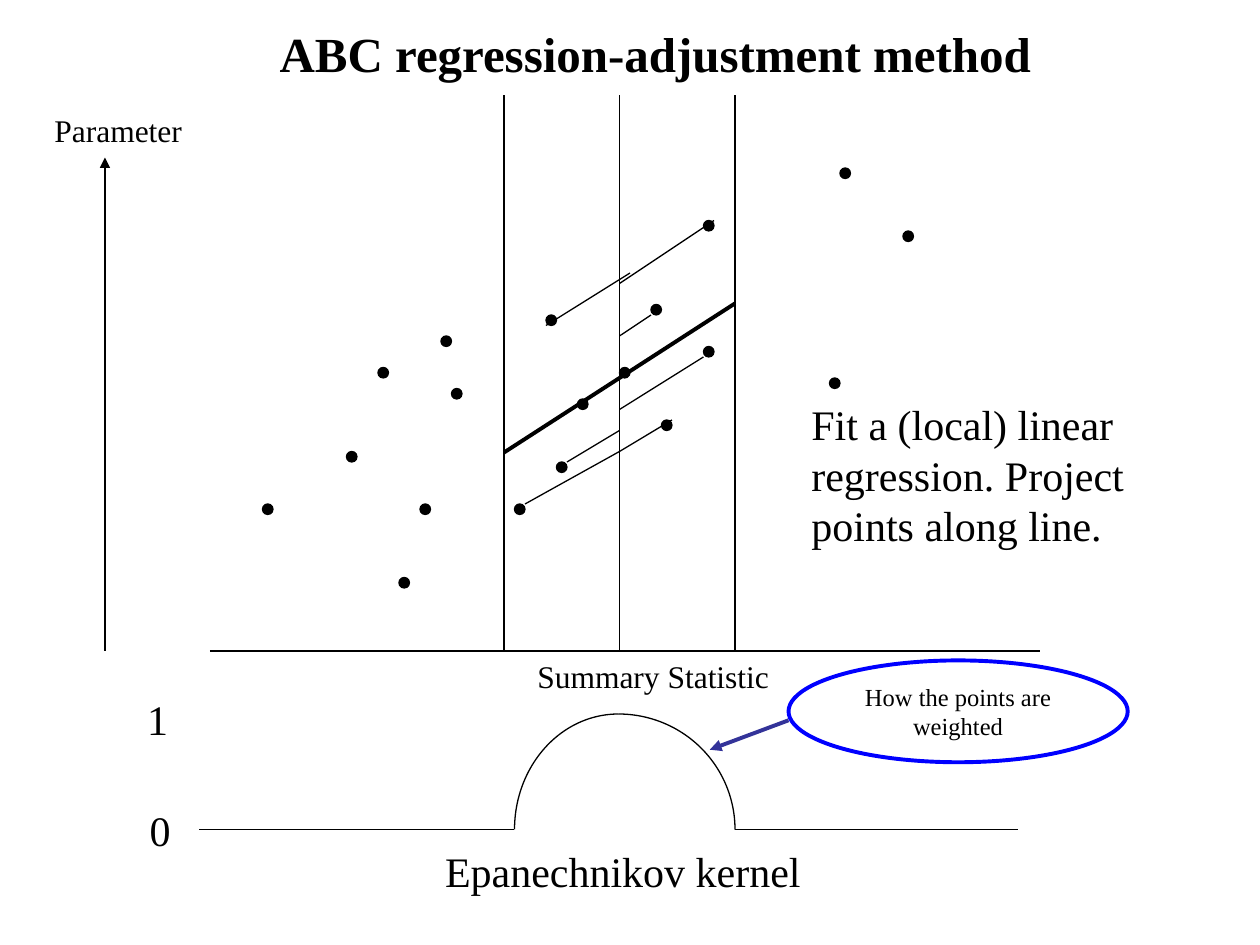
"""Build the slide on ABC regression adjustment, on a grid of 12 cells to the inch."""
import pptx
import pptx.util
import pptx.dml.color
import pptx.enum.shapes
import pptx.enum.text
import pptx.oxml

SHAPE = pptx.enum.shapes.MSO_SHAPE
ALIGN = pptx.enum.text.PP_ALIGN
MIDDLE = pptx.enum.text.MSO_ANCHOR.MIDDLE
COLORS = {"ink": "000000", "ring": "0000FF", "arrow": "333399"}
FONT = {"name": "Times New Roman", "bold": False}
COLS, ROWS = 120, 90
BASE, TOP, FLOOR = 62, 9, 79
LEFT, MID, RIGHT = 48, 59, 70

DOTS = [(52, 30), (40, 48), (42, 32), (36, 35), (25, 48), (38, 55), (43, 37),
        (49, 48), (67, 21), (67, 33), (59, 35), (63, 40), (79, 36), (86, 22),
        (80, 16), (33, 43), (62, 29), (53, 44), (55, 38)]
LINES = [(19, FLOOR, 49, FLOOR), (RIGHT, FLOOR, 97, FLOOR), (20, BASE, 99, BASE)]
TRACKS = [(MID, 27, 68, 21), (MID, 39, 67, 34), (54, 44, MID, 41),
          (MID, 43, 64, 40), (52, 31, 60, 26), (MID, 32, 62, 30),
          (50, 48, MID, 43)]
ARCS = [((47.8, 68, 22.2, 22), (162, 0)), ((49, 68, 19.8, 22), (108, 162))]
LABELS = [("1", (12.84, 65.5, 4.3, 6), 24), ("0", (13.08, 76, 4.3, 6), 24),
          ("Epanechnikov kernel", (41.2, 79.9, 40.7, 6), 24),
          ("Fit a (local) linear regression. Project points along line.",
           (76.1, 37.4, 34.1, 15.6), 24),
          ("Parameter", (4, 10, 22, 4.8), 18),
          ("Summary Statistic", (50, 62, 36, 4.8), 18)]


def cell(count):
    """Return the length of a number of grid cells."""
    return pptx.util.Inches(count / 12)


def tint(name):
    """Return a named colour."""
    return pptx.dml.color.RGBColor.from_string(COLORS[name])


def write(shape, text, size, align=ALIGN.LEFT, **extra):
    """Put one formatted paragraph in a shape."""
    frame = shape.text_frame
    frame.word_wrap = True
    frame.text = text
    para = frame.paragraphs[0]
    para.alignment = align
    para.font.color.rgb = tint("ink")
    for key, value in {**FONT, "size": pptx.util.Pt(size), **extra}.items():
        setattr(para.font, key, value)


def add_label(slide, text, box, size):
    """Add a text box."""
    write(slide.shapes.add_textbox(*map(cell, box)), text, size)


def add_form(slide, kind, box, color="ink", width=0.75, fill=None):
    """Add an outlined preset shape, filled only when a colour is named."""
    shape = slide.shapes.add_shape(kind, *map(cell, box))
    shape.shadow.inherit = False
    shape.line.color.rgb = tint(color)
    shape.line.width = pptx.util.Pt(width)
    if fill:
        shape.fill.solid()
        shape.fill.fore_color.rgb = tint(fill)
    else:
        shape.fill.background()
    return shape


def add_line(slide, ends, color="ink", width=0.75, head=False):
    """Add a straight line, with an arrowhead at its end if asked."""
    kind = pptx.enum.shapes.MSO_CONNECTOR.STRAIGHT
    line = slide.shapes.add_connector(kind, *map(cell, ends))
    line.line.color.rgb = tint(color)
    line.line.width = pptx.util.Pt(width)
    if head:
        tip = pptx.oxml.parse_xml(
            '<a:tailEnd xmlns:a="http://schemas.openxmlformats.org/drawingml/2006/main"'
            ' type="triangle"/>')
        line.line._get_or_add_ln().append(tip)
    props = line._element.spPr
    props.append(props.makeelement(pptx.oxml.ns.qn("a:effectLst"), {}))


def set_title(slide, text, box):
    """Place and format the title."""
    title = slide.shapes.title
    for key, value in zip(("left", "top", "width", "height"), map(cell, box)):
        setattr(title, key, value)
    write(title, text, 28, ALIGN.CENTER, bold=True)
    title.text_frame.vertical_anchor = MIDDLE


def add_kernel(slide):
    """Draw the two arcs of the kernel."""
    for box, angles in ARCS:
        arc = add_form(slide, SHAPE.ARC, box)
        for index, angle in enumerate(angles):
            arc.adjustments[index] = angle


def add_note(slide):
    """Add the ringed note and its arrow."""
    ring = add_form(slide, SHAPE.OVAL, (75.1, 62.9, 32.3, 9.7), "ring", 2.25)
    write(ring, "How the points are weighted", 14, ALIGN.CENTER)
    ring.text_frame.vertical_anchor = MIDDLE
    add_line(slide, (75.1, 68.6, 67.6, 71.4), "arrow", 2.25, True)


def main():
    """Build and save the slide."""
    deck = pptx.Presentation()
    deck.slide_width, deck.slide_height = cell(COLS), cell(ROWS)
    slide = deck.slides.add_slide(deck.slide_layouts[5])
    set_title(slide, "ABC regression-adjustment method", (17.5, 1.6, 89.8, 6.8))
    add_kernel(slide)
    walls = [(col, BASE, col, TOP) for col in (LEFT, MID, RIGHT)]
    for ends in LINES + walls:
        add_line(slide, ends)
    for col, row in DOTS:
        add_form(slide, SHAPE.OVAL, (col, row, 1, 1), fill="ink")
    add_line(slide, (LEFT, 43.1, RIGHT, 28.9), width=2.25)
    for ends in TRACKS:
        add_line(slide, ends)
    add_line(slide, (10, BASE, 10, 15), head=True)
    for text, box, size in LABELS:
        add_label(slide, text, box, size)
    add_note(slide)
    deck.save("out.pptx")


if __name__ == "__main__":
    main()
